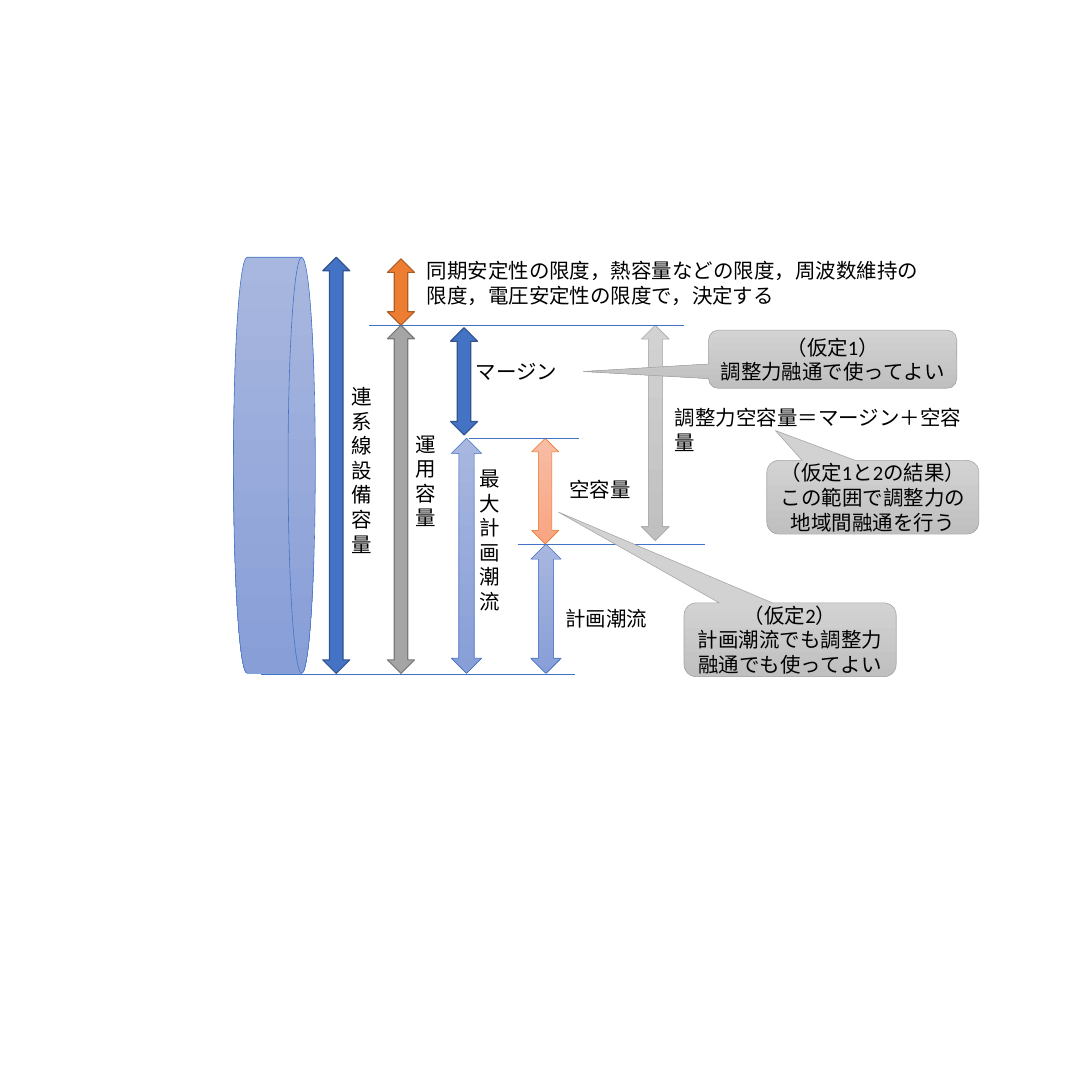
from lxml.etree import SubElement
from pptx import Presentation
from pptx.dml.color import RGBColor
from pptx.enum.shapes import MSO_CONNECTOR, MSO_SHAPE
from pptx.enum.text import MSO_ANCHOR, MSO_AUTO_SIZE, PP_ALIGN
from pptx.oxml.ns import qn
from pptx.util import Inches, Pt

TOP, LIMIT, MARGIN, PLAN, BASE = 3.14, 3.97, 5.35, 6.64, 8.22
FONT = {"name": "Calibri", "size": Pt(18)}
STYLES = {
    "blue": (["4472C4"], "325491", 1),
    "gray": (["A5A5A5"], "7A7A7A", 1),
    "orange": (["ED7D31"], "AF5C24", 1),
    "pale blue": (["A8B7DF", "889ED7"], "4472C4", 0.5),
    "pale orange": (["F7BDA5", "F8A582"], "ED7D31", 0.5),
    "pale gray": (["D2D2D2", "C0C0C0"], "A5A5A5", 0.5),
}


def set_color(color, value):
    color.rgb = RGBColor.from_string(value)


def set_format(obj, values):
    for name, value in values.items():
        setattr(obj, name, value)


def set_line(line, color, width):
    set_color(line.color, color)
    line.width = Pt(width)


def add_shape(slide, kind, box, style):
    sp = slide.shapes.add_shape(kind, *map(Inches, box))
    sp.shadow.inherit = False
    colors, outline, width = STYLES[style]
    if len(colors) == 1:
        sp.fill.solid()
        set_color(sp.fill.fore_color, colors[0])
    else:
        sp.fill.gradient()
        sp.fill.gradient_angle = 270
        for stop, color in zip(sp.fill.gradient_stops, colors):
            set_color(stop.color, color)
    set_line(sp.line, outline, width)
    return sp


def add_arrow(slide, left, top, bottom, width, style):
    box = (left, top, width, bottom - top)
    add_shape(slide, MSO_SHAPE.UP_DOWN_ARROW, box, style)


def add_level(slide, left, right, y):
    ends = map(Inches, (left, y, right, y))
    line = slide.shapes.add_connector(MSO_CONNECTOR.STRAIGHT, *ends)
    set_line(line.line, "4472C4", 0.5)
    SubElement(line._element.spPr, qn("a:effectLst"))


def write(tf, lines, align):
    for i, text in enumerate(lines):
        p = tf.add_paragraph() if i else tf.paragraphs[0]
        p.alignment = align
        r = p.add_run()
        r.text = text
        set_format(r.font, FONT)
        set_color(r.font.color, "000000")


def add_label(slide, box, text):
    tf = slide.shapes.add_textbox(*map(Inches, box)).text_frame
    set_format(tf, {"word_wrap": True, "auto_size": MSO_AUTO_SIZE.SHAPE_TO_FIT_TEXT})
    write(tf, [text], PP_ALIGN.LEFT)


def add_callout(slide, box, tip, lines):
    sp = add_shape(slide, MSO_SHAPE.ROUNDED_RECTANGULAR_CALLOUT, box, "pale gray")
    for i, value in enumerate((*tip, 0.167)):
        sp.adjustments[i] = value
    set_format(sp.text_frame, {"word_wrap": True, "vertical_anchor": MSO_ANCHOR.MIDDLE})
    write(sp.text_frame, lines, PP_ALIGN.CENTER)


def main():
    prs = Presentation()
    set_format(prs, {"slide_width": Inches(13.33), "slide_height": Inches(13.33)})
    slide = prs.slides.add_slide(prs.slide_layouts[6])

    drum = (2.85, TOP, 1, BASE - TOP)
    add_shape(slide, MSO_SHAPE.FLOWCHART_DIRECT_ACCESS_STORAGE, drum, "pale blue")

    for arrow in (
        (3.94, TOP, BASE, 0.33, "blue"),
        (4.73, LIMIT, BASE, 0.33, "gray"),
        (5.5, 4, 5.31, 0.33, "blue"),
        (6.48, PLAN, BASE, 0.37, "pale blue"),
        (6.49, MARGIN, PLAN, 0.33, "pale orange"),
        (4.73, 3.16, LIMIT, 0.33, "orange"),
        (7.83, LIMIT, 6.6, 0.34, "pale gray"),
    ):
        add_arrow(slide, *arrow)

    for level in (
        (4.51, 8.35, LIMIT),
        (3.18, 7.02, 8.23),
        (6.32, 8.6, PLAN),
        (5.72, 7.07, MARGIN),
    ):
        add_level(slide, *level)
    add_arrow(slide, 5.51, MARGIN, BASE, 0.37, "pale blue")

    for callout in (
        ((9.36, 5.62, 2.59, 0.9), (-0.459, -0.904),
         ["（仮定1と2の結果）", "この範囲で調整力の地域間融通を行う"]),
        ((8.35, 7.36, 2.59, 0.9), (-1.092, -1.731),
         ["（仮定2）", "計画潮流でも調整力融通でも使ってよい"]),
        ((8.65, 4.03, 3.03, 0.71), (-1.004, 0.212),
         ["（仮定1）", "調整力融通で使ってよい"]),
    ):
        add_callout(slide, *callout)

    for label in (
        ((4.19, 4.64, 0.5, 2.22), "連系線設備容量"),
        ((4.98, 5.22, 0.5, 1.31), "運用容量"),
        ((5.76, 5.64, 0.47, 1.92), "最大計画潮流"),
        ((5.71, 4.33, 1.27, 0.4), "マージン"),
        ((6.85, 5.77, 1.27, 0.4), "空容量"),
        ((6.8, 7.35, 1.27, 0.4), "計画潮流"),
        ((8.14, 4.9, 3.93, 0.4), "調整力空容量＝マージン＋空容量"),
        ((5.11, 3.1, 6.26, 0.71),
         "同期安定性の限度，熱容量などの限度，周波数維持の限度，電圧安定性の限度で，決定する"),
    ):
        add_label(slide, *label)

    prs.save("out.pptx")


if __name__ == "__main__":
    main()
